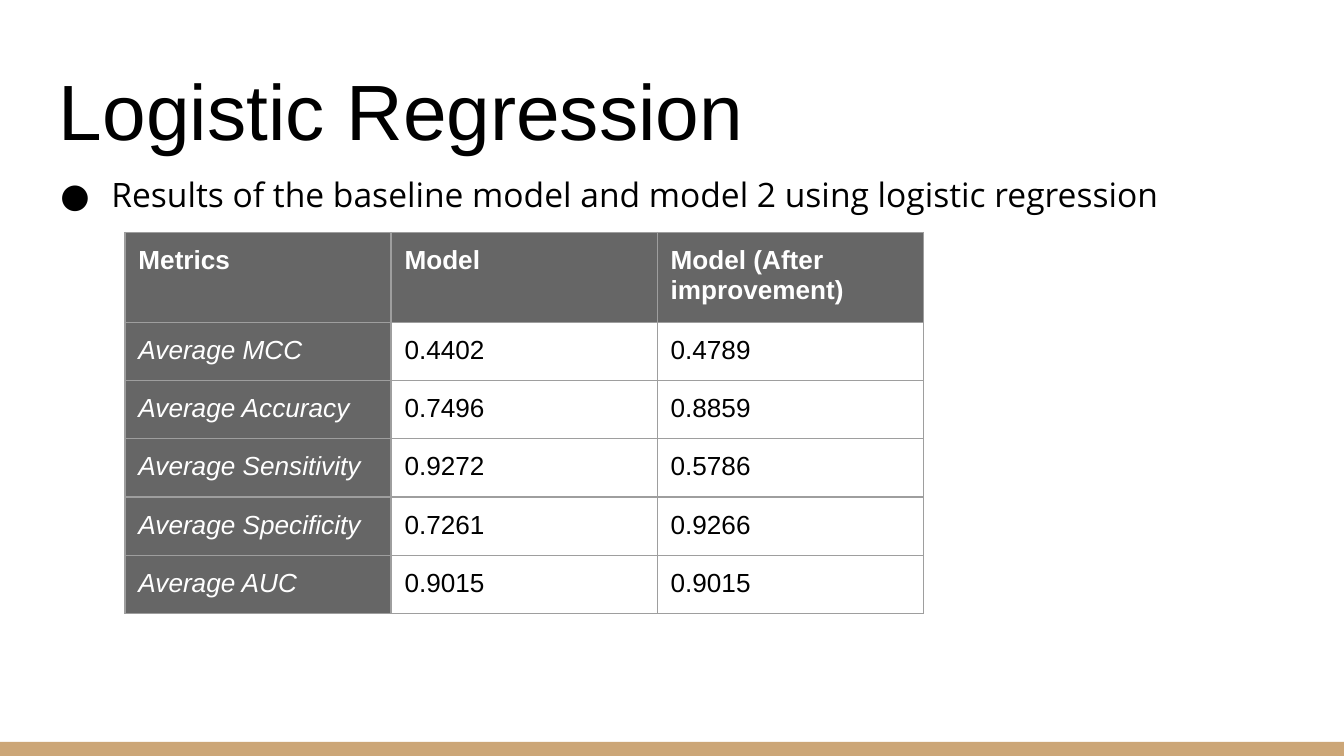
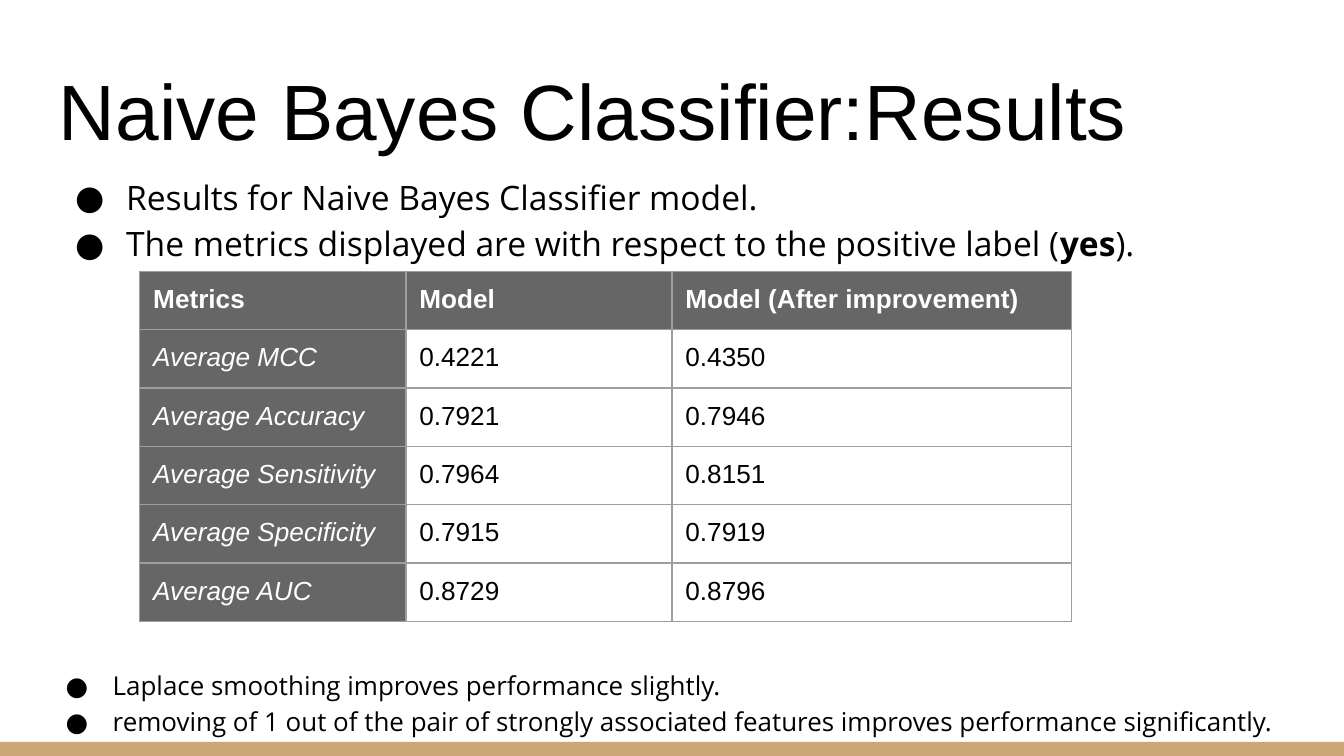
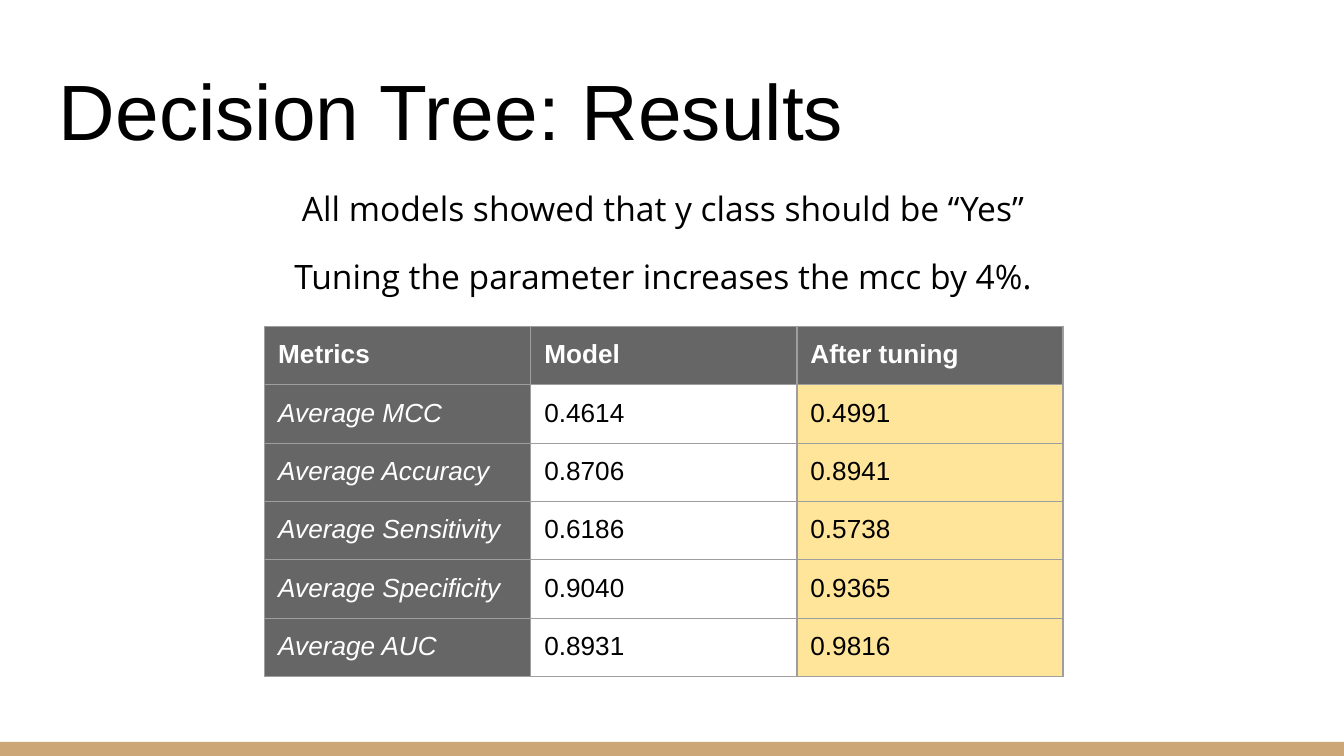
from lxml.etree import SubElement
from pptx import Presentation
from pptx.dml.color import RGBColor
from pptx.enum.shapes import MSO_SHAPE
from pptx.enum.text import MSO_ANCHOR, MSO_AUTO_SIZE, PP_ALIGN
from pptx.oxml.ns import qn
from pptx.util import Inches, Pt

BLACK, WHITE, GREY, RULE = "000000", "FFFFFF", "666666", "9E9E9E"
TAN, HIGHLIGHT = "CCA677", "FFE599"
HEADING_FONT, BODY_FONT = "Arial", "Open Sans"
METRICS = ["MCC", "Accuracy", "Sensitivity", "Specificity", "AUC"]


def colour(value):
    return RGBColor.from_string(value)


class ResultsDeck:
    def __init__(self):
        self.deck = Presentation()
        self.deck.slide_width = Inches(10)
        self.deck.slide_height = Inches(10) * 9 // 16
        self.page = None

    def add_page(self, title):
        self.page = self.deck.slides.add_slide(self.deck.slide_layouts[6])
        self.page.background.fill.solid()
        self.page.background.fill.fore_color.rgb = colour(WHITE)
        band = self.page.shapes.add_shape(
            MSO_SHAPE.RECTANGLE, 0, Inches(5.52), Inches(10), Inches(0.11))
        band.shadow.inherit = False
        band.fill.solid()
        band.fill.fore_color.rgb = colour(TAN)
        band.line.fill.background()
        frame = self.add_frame(0.34, 0.35, 9.32, 0.91)
        frame.vertical_anchor = MSO_ANCHOR.BOTTOM
        self.add_span(frame.paragraphs[0], title, 42, HEADING_FONT)

    def add_frame(self, left, top, width, height):
        box = self.page.shapes.add_textbox(
            Inches(left), Inches(top), Inches(width), Inches(height))
        frame = box.text_frame
        frame.word_wrap = True
        self.set_margins(frame)
        return frame

    def set_margins(self, holder):
        for side in ("left", "top", "right", "bottom"):
            setattr(holder, f"margin_{side}", Inches(0.1))

    def add_span(self, para, text, size, font, ink=BLACK, bold=False, italic=False):
        span = para.add_run()
        span.text = text
        span.font.size = Pt(size)
        span.font.name = font
        span.font.color.rgb = colour(ink)
        span.font.bold = bold
        span.font.italic = italic

    def add_paragraphs(self, frame, lines):
        for index, spans in enumerate(lines):
            para = frame.paragraphs[0] if index == 0 else frame.add_paragraph()
            para.line_spacing = 1.15
            yield para, spans

    def add_bullets(self, left, top, width, height, lines, size=18, hanging=0.38):
        frame = self.add_frame(left, top, width, height)
        for para, spans in self.add_paragraphs(frame, lines):
            properties = para._p.get_or_add_pPr()
            properties.set("marL", str(Inches(0.5)))
            properties.set("indent", str(-Inches(hanging)))
            ink = SubElement(properties, qn("a:buClr"))
            SubElement(ink, qn("a:srgbClr"), val=BLACK)
            SubElement(properties, qn("a:buFont"), typeface=BODY_FONT)
            SubElement(properties, qn("a:buChar"), char="●")
            for text, bold in spans:
                self.add_span(para, text, size, BODY_FONT, bold=bold)

    def add_centred_lines(self, left, top, width, height, lines):
        frame = self.add_frame(left, top, width, height)
        frame.auto_size = MSO_AUTO_SIZE.SHAPE_TO_FIT_TEXT
        for index, (para, text) in enumerate(self.add_paragraphs(frame, lines)):
            para.alignment = PP_ALIGN.CENTER
            if index:
                para.space_before = para.space_after = Pt(12)
            self.add_span(para, text, 18, BODY_FONT)

    def add_results(self, left, top, last_heading, before, after,
                    last_width=1.98, row_height=0.42, last_fill=WHITE):
        widths = [1.98, 1.98, last_width]
        rows = [("Metrics", "Model", last_heading)]
        rows += [(f"Average {metric}", *values)
                 for metric, *values in zip(METRICS, before, after)]
        table = self.page.shapes.add_table(
            len(rows), len(widths), Inches(left), Inches(top),
            Inches(sum(widths)), Inches(row_height * len(rows))).table
        for column, width in zip(table.columns, widths):
            column.width = Inches(width)
        for row_index, row in enumerate(rows):
            table.rows[row_index].height = Inches(row_height)
            for column_index, text in enumerate(row):
                heading = row_index == 0
                label = heading or column_index == 0
                fill = GREY if label else (WHITE, last_fill)[column_index - 1]
                cell = table.cell(row_index, column_index)
                self.style_cell(cell, fill)
                para = cell.text_frame.paragraphs[0]
                para.line_spacing = 1.0
                self.add_span(para, text, 14, HEADING_FONT,
                              WHITE if label else BLACK, heading, label and not heading)

    def style_cell(self, cell, fill):
        self.set_margins(cell)
        properties = cell._tc.get_or_add_tcPr()
        for edge in ("lnL", "lnR", "lnT", "lnB"):
            line = SubElement(properties, qn(f"a:{edge}"), w=str(Pt(0.75)))
            paint = SubElement(line, qn("a:solidFill"))
            SubElement(paint, qn("a:srgbClr"), val=RULE)
        cell.fill.solid()
        cell.fill.fore_color.rgb = colour(fill)


def main():
    show = ResultsDeck()

    show.add_page("Logistic Regression")
    show.add_bullets(0.23, 1.15, 9.32, 3.67, [
        [("Results of the baseline model and model 2 using logistic regression", False)]])
    show.add_results(0.93, 1.73, "Model (After improvement)",
                     ["0.4402", "0.7496", "0.9272", "0.7261", "0.9015"],
                     ["0.4789", "0.8859", "0.5786", "0.9266", "0.9015"])

    show.add_page("Naive Bayes Classifier:Results")
    show.add_bullets(0.34, 1.17, 9.32, 0.85, [
        [("Results for Naive Bayes Classifier model.", False)],
        [("The metrics displayed are with respect to the positive label (", False),
         ("yes", True), (").", False)]])
    show.add_results(1.04, 2.02, "Model (After improvement)",
                     ["0.4221", "0.7921", "0.7964", "0.7915", "0.8729"],
                     ["0.4350", "0.7946", "0.8151", "0.7919", "0.8796"],
                     last_width=2.97)
    show.add_bullets(0.24, 4.85, 9.42, 0.91, [
        [("Laplace smoothing improves performance slightly.", False)],
        [("removing of 1 out of the pair of strongly associated features "
          "improves performance significantly.", False)]], size=13.9, hanging=0.35)

    show.add_page("Decision Tree: Results")
    show.add_centred_lines(0.42, 1.25, 9.03, 1.02, [
        "All models showed that y class should be “Yes”",
        "Tuning the parameter increases the mcc by 4%."])
    show.add_results(1.97, 2.43, "After tuning",
                     ["0.4614", "0.8706", "0.6186", "0.9040", "0.8931"],
                     ["0.4991", "0.8941", "0.5738", "0.9365", "0.9816"],
                     row_height=0.43, last_fill=HIGHLIGHT)

    show.deck.save("out.pptx")


if __name__ == "__main__":
    main()
